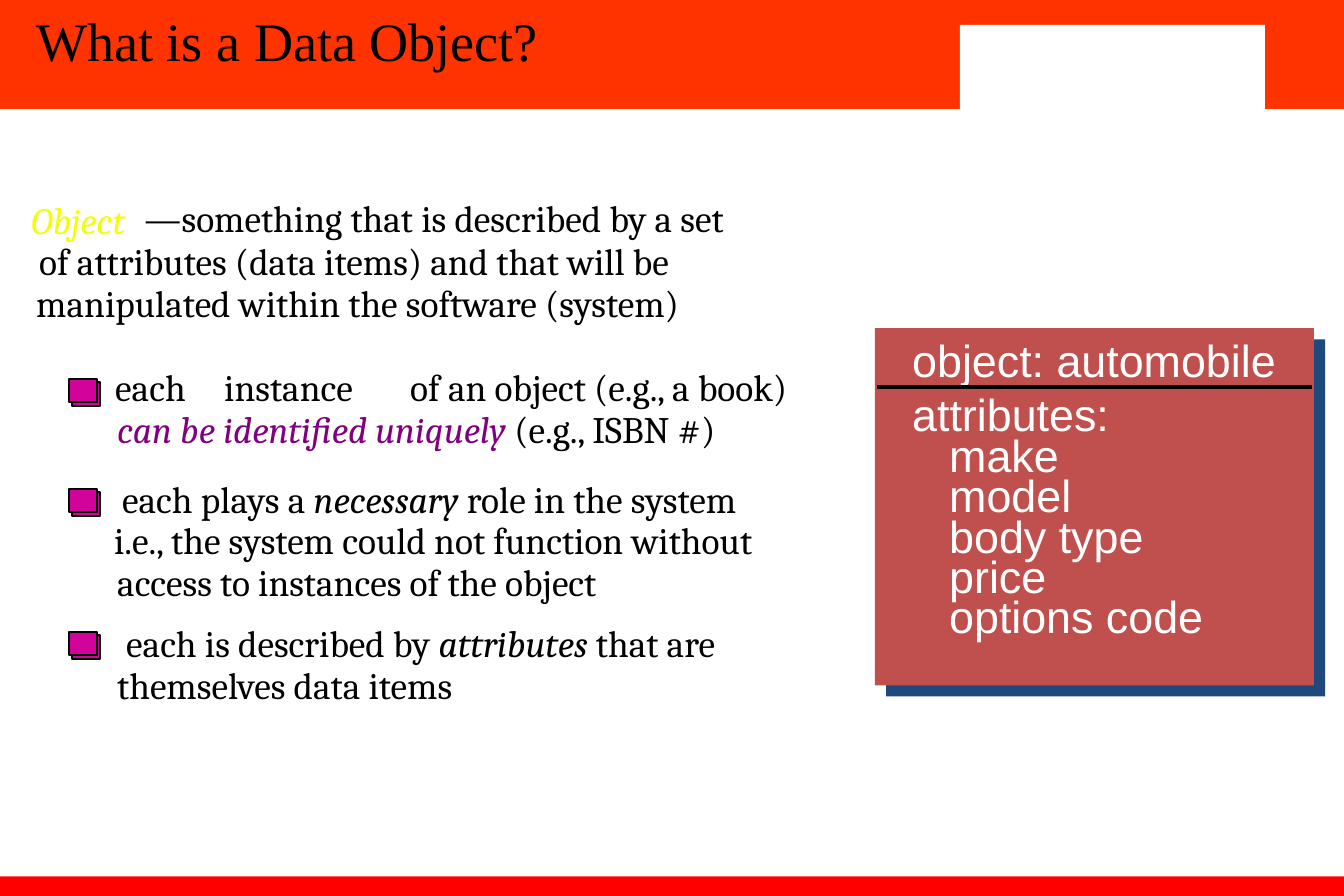
from lxml.etree import SubElement
from pptx import Presentation
from pptx.dml.color import RGBColor
from pptx.enum.shapes import MSO_CONNECTOR, MSO_SHAPE
from pptx.enum.text import MSO_ANCHOR, MSO_AUTO_SIZE
from pptx.oxml.ns import qn
from pptx.util import Emu, Pt

WIDTH = 1344
PAGE_HEIGHT = Pt(479.8)
BLACK = RGBColor(0x00, 0x00, 0x00)
WHITE = RGBColor(0xFF, 0xFF, 0xFF)
ORANGE = RGBColor(0xFF, 0x33, 0x00)
RED = RGBColor(0xFF, 0x00, 0x00)
YELLOW = RGBColor(0xF3, 0xFF, 0x07)
PURPLE = RGBColor(0x80, 0x00, 0x80)
MAGENTA = RGBColor(0xD1, 0x03, 0x9B)
BRICK = RGBColor(0xC0, 0x50, 0x4D)
NAVY = RGBColor(0x1F, 0x49, 0x7D)

# Left, top, width, height, then spans of (text, italic, colour)
BODY_LINES = [
    (18, 190, 126, 58, [("Object", True, YELLOW)]),
    (131, 188, 954, 102, [("—something that is described by a set", False, BLACK)]),
    (26, 231, 710, 58, [("of attributes (data items) and that will be", False, BLACK)]),
    (23, 273, 720, 58, [("manipulated within the software (system)", False, BLACK)]),
    (102, 357, 112, 58, [("each", False, BLACK)]),
    (211, 357, 163, 58, [("instance", False, BLACK)]),
    (397, 357, 445, 102, [("of an object (e.g., a book)", False, BLACK)]),
    (104, 399, 648, 58, [("can be identified uniquely", True, PURPLE),
                         (" (e.g., ISBN #)", False, BLACK)]),
    (109, 469, 683, 58, [("each plays a ", False, BLACK), ("necessary", True, BLACK),
                         (" role in the system", False, BLACK)]),
    (101, 510, 734, 58, [("i.e., the system could not function without", False, BLACK)]),
    (104, 552, 540, 102, [("access to instances of the object", False, BLACK)]),
    (113, 613, 659, 58, [("each is described by ", False, BLACK),
                         ("attributes", True, BLACK), (" that are", False, BLACK)]),
    (104, 655, 392, 58, [("themselves data items", False, BLACK)]),
]
BULLET_TOPS = [379, 489, 632]
ATTRIBUTES = ["make", "model", "body type", "price", "options code"]


def px(length):
    return Emu(round(length * 914400 / 134.4))


def add_rectangle(page, left, top, width, height, fill, line=None):
    box = page.shapes.add_shape(
        MSO_SHAPE.RECTANGLE, px(left), px(top), px(width), px(height))
    box.shadow.inherit = False
    box.fill.solid()
    box.fill.fore_color.rgb = fill
    if line is None:
        box.line.fill.background()
    else:
        box.line.color.rgb = line
        box.line.width = Pt(1)
    return box


def add_shadow(box, color, distance):
    effects = box._element.spPr.find(qn("a:effectLst"))
    shadow = SubElement(effects, qn("a:outerShdw"), dist=str(Pt(distance)),
                        dir=str(45 * 60000), algn="ctr", rotWithShape="0")
    SubElement(shadow, qn("a:srgbClr"), val=str(color))


def add_text_box(page, left, top, width, height, wrap=False):
    box = page.shapes.add_textbox(px(left), px(top), px(width), px(height))
    box.text_frame.word_wrap = wrap
    box.text_frame.auto_size = MSO_AUTO_SIZE.SHAPE_TO_FIT_TEXT
    return box.text_frame


def style_paragraph(para, font, size, color=None):
    para.font.name = font
    para.font.size = Pt(size)
    if color is not None:
        para.font.color.rgb = color


def add_bands(page):
    add_rectangle(page, 0, 0, WIDTH, 109, ORANGE)
    add_rectangle(page, 0, 876, WIDTH, 25, RED)
    # Right end of the header with its white panel
    add_rectangle(page, 903, 0, WIDTH - 903, 109, ORANGE)
    add_rectangle(page, 960, 25, 305, 89, WHITE)


def add_title(page):
    frame = add_text_box(page, 23, 23, 1013, 42, wrap=True)
    frame.auto_size = MSO_AUTO_SIZE.NONE
    frame.vertical_anchor = MSO_ANCHOR.MIDDLE
    para = frame.paragraphs[0]
    para.text = "What is a Data Object?"
    para.line_spacing = 0.9
    style_paragraph(para, "Times New Roman", 29, BLACK)


def add_body_line(page, left, top, width, height, spans):
    # Only the line that starts with the dash is wide enough to wrap
    frame = add_text_box(page, left, top, width, height, wrap=width > 900)
    para = frame.paragraphs[0]
    style_paragraph(para, "Cambria", 20)
    for text, italic, color in spans:
        span = para.add_run()
        span.text = text
        span.font.italic = italic
        span.font.color.rgb = color


def add_bullet(page, top):
    for offset, height in ((3, 24), (0, 23)):
        add_rectangle(page, 69 + offset, top + offset, 28, height, MAGENTA, BLACK)


def add_object_card(page):
    card = add_rectangle(page, 875, 328, 439, 357, BRICK)
    add_shadow(card, NAVY, 8.5)

    frame = add_text_box(page, 899, 326, 390, 323)
    for index, text in enumerate(["object: automobile", "attributes:"] + ATTRIBUTES):
        para = frame.paragraphs[0] if index == 0 else frame.add_paragraph()
        para.text = text
        style_paragraph(para, "Arial", 24, WHITE)
        if text in ATTRIBUTES:
            para.line_spacing = 0.75
            para._p.get_or_add_pPr().set("marL", str(px(37)))
            para._p.get_or_add_pPr().set("indent", "0")

    divider = page.shapes.add_connector(
        MSO_CONNECTOR.STRAIGHT, px(877), px(387), px(1312), px(387))
    divider.line.color.rgb = BLACK
    divider.line.width = Pt(2)
    SubElement(divider._element.spPr, qn("a:effectLst"))


def main():
    deck = Presentation()
    deck.slide_width, deck.slide_height = px(WIDTH), PAGE_HEIGHT
    page = deck.slides.add_slide(deck.slide_layouts[6])

    # Header, footer and title
    add_bands(page)
    add_title(page)

    # Definition and its three points
    for line in BODY_LINES:
        add_body_line(page, *line)
    for top in BULLET_TOPS:
        add_bullet(page, top)

    # Example object
    add_object_card(page)
    deck.save("out.pptx")


if __name__ == "__main__":
    main()
